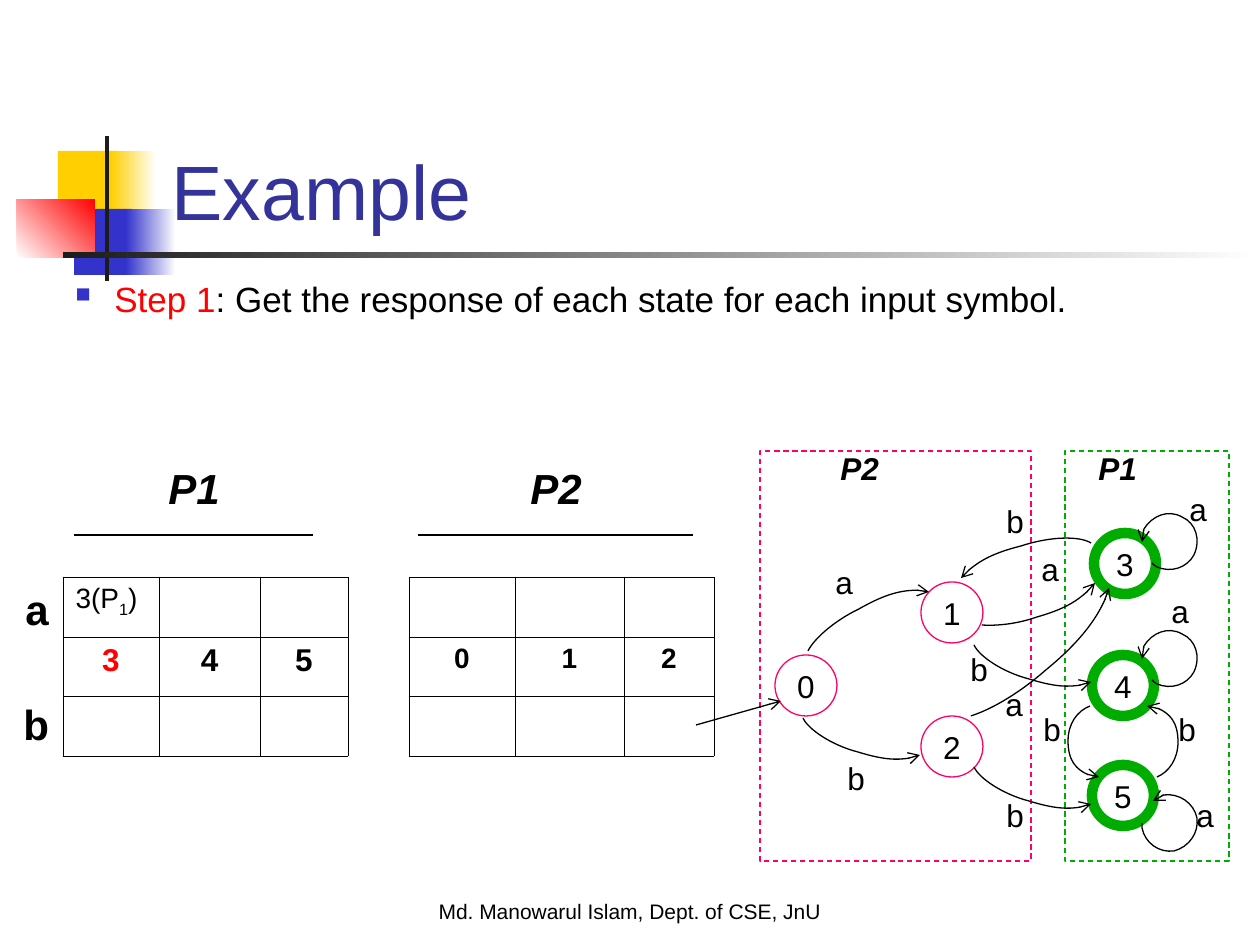
"""Build the DFA minimisation example slide with its state diagram and response tables."""
from lxml import etree
from pptx import Presentation, util as u
from pptx.dml.color import RGBColor
from pptx.enum import dml, shapes, text
from pptx.oxml import ns

PX = 914400 / 126
COLOURS = {"yellow": "FFCF01", "blue": "3333CC", "red": "FF0000", "ink": "1C1C1C",
           "white": "FFFFFF", "black": "000000", "title": "333399",
           "green": "00AC00", "pink": "FF0066"}


def px(value):
    return u.Emu(round(value * PX))


def rgb(name):
    return RGBColor.from_string(COLOURS[name])


def add_xml(parent, tag, **attributes):
    return etree.SubElement(parent, ns.qn(tag), attributes)


class Deck:
    def __init__(self):
        self.show = Presentation()
        self.show.slide_width, self.show.slide_height = px(1260), px(945)
        self.slide = self.show.slides.add_slide(self.show.slide_layouts[5])
        self.items = self.slide.shapes

    def add_words(self, paragraph, words, size=18, colour="black", **formats):
        run = paragraph.add_run()
        run.text = words
        values = {"name": "Arial", "size": u.Pt(size), **formats}
        for key, value in values.items():
            setattr(run.font, key, value)
        run.font.color.rgb = rgb(colour)
        return run

    def title(self, words, box, size, colour):
        heading = self.items.title
        for key, value in zip(("left", "top", "width", "height"), box):
            setattr(heading, key, px(value))
        frame = heading.text_frame
        frame.vertical_anchor = text.MSO_ANCHOR.BOTTOM
        frame.paragraphs[0].alignment = text.PP_ALIGN.LEFT
        self.add_words(frame.paragraphs[0], words, size, colour)

    def label(self, words, box, size=18, align=text.PP_ALIGN.LEFT, wrap=False, **formats):
        frame = self.items.add_textbox(*map(px, box)).text_frame
        frame.word_wrap = wrap
        frame.paragraphs[0].alignment = align
        self.add_words(frame.paragraphs[0], words, size, **formats)

    def bullet(self, parts, box, size):
        frame = self.items.add_textbox(*map(px, box)).text_frame
        frame.word_wrap = True
        paragraph = frame.paragraphs[0]
        properties = paragraph._p.get_or_add_pPr()
        properties.set("marL", str(px(39)))
        properties.set("indent", str(-px(39)))
        add_xml(add_xml(properties, "a:buClr"), "a:srgbClr", val=COLOURS["blue"])
        add_xml(properties, "a:buSzPct", val="60000")
        add_xml(properties, "a:buChar", char="■")
        paragraph.alignment = text.PP_ALIGN.JUSTIFY
        paragraph.line_spacing = 0.8
        for words, colour in parts:
            self.add_words(paragraph, words, size, colour)

    def block(self, box, colours, angle=0):
        bar = self.items.add_shape(shapes.MSO_SHAPE.RECTANGLE, *map(px, box))
        bar.shadow.inherit = False
        bar.line.fill.background()
        if len(colours) == 1:
            bar.fill.solid()
            bar.fill.fore_color.rgb = rgb(colours[0])
            return
        bar.fill.gradient()
        bar.fill.gradient_angle = angle
        for stop, colour in zip(bar.fill.gradient_stops, colours):
            stop.color.rgb = rgb(colour)

    def outline(self, kind, box, colour, width=0.75, dash=None):
        ring = self.items.add_shape(kind, *map(px, box))
        ring.shadow.inherit = False
        ring.fill.background()
        ring.line.color.rgb = rgb(colour)
        ring.line.width = u.Pt(width)
        ring.line.dash_style = dash
        return ring

    def state(self, number, left, top, colour, width):
        ring = self.outline(shapes.MSO_SHAPE.OVAL, (left, top, 62, 61), colour, width)
        frame = ring.text_frame
        frame.word_wrap = False
        frame.vertical_anchor = text.MSO_ANCHOR.MIDDLE
        frame.paragraphs[0].alignment = text.PP_ALIGN.CENTER
        self.add_words(frame.paragraphs[0], number)

    def ink(self, stroke, arrow):
        stroke.line.color.rgb = rgb("black")
        stroke.line.width = u.Pt(0.75)
        if arrow:
            add_xml(stroke.line._get_or_add_ln(), "a:tailEnd", type="arrow")

    def line(self, start, end, arrow=False):
        stroke = self.items.add_connector(shapes.MSO_CONNECTOR.STRAIGHT, *map(px, start + end))
        self.ink(stroke, arrow)
        add_xml(stroke._element.spPr, "a:effectLst")

    def curve(self, points, dx=0, dy=0):
        start, *controls = [(x + dx, y + dy) for x, y in points]
        builder = self.items.build_freeform(*start, scale=PX)
        builder.add_line_segments(controls, close=False)
        arc = builder.convert_to_shape()
        segments = arc._element.findall(".//" + ns.qn("a:lnTo"))
        route = segments[0].getparent()
        for first in range(0, len(segments), 3):
            bezier = add_xml(route, "a:cubicBezTo")
            for segment in segments[first:first + 3]:
                bezier.append(segment[0])
                route.remove(segment)
        arc.shadow.inherit = False
        arc.fill.background()
        self.ink(arc, True)

    def table(self, left, top, widths, heights, entries):
        size = len(heights), len(widths)
        frame = self.items.add_table(*size, *map(px, (left, top, sum(widths), sum(heights))))
        grid = frame.table
        grid.first_row = grid.horz_banding = False
        for column, width in zip(grid.columns, widths):
            column.width = px(width)
        for row, height in zip(grid.rows, heights):
            row.height = px(height)
        for cell in grid.iter_cells():
            properties = cell._tc.get_or_add_tcPr()
            for side in "LRTB":
                border = add_xml(properties, f"a:ln{side}", w="5715")
                add_xml(add_xml(border, "a:solidFill"), "a:srgbClr", val=COLOURS["black"])
            cell.fill.background()
        for column, (words, size, colour) in enumerate(entries):
            paragraph = grid.cell(1, column).text_frame.paragraphs[0]
            paragraph.alignment = text.PP_ALIGN.CENTER
            self.add_words(paragraph, words, size, colour, bold=True)
        return grid


def main():
    deck = Deck()
    for box, colours, angle in [
            ((58, 151, 60, 66), ["yellow"], 0), ((111, 151, 45, 66), ["yellow", "white"], 0),
            ((74, 209, 58, 66), ["blue"], 0), ((126, 209, 50, 66), ["blue", "white"], 0),
            ((17, 199, 78, 59), ["white", "red"], 45), ((105, 136, 4, 145), ["ink"], 0),
            ((63, 252, 1197, 6), ["ink", "white"], 0)]:
        deck.block(box, colours, angle)
    deck.label("Md. Manowarul Islam, Dept. of CSE, JnU", (0, 892, 1260, 63), 12,
               text.PP_ALIGN.CENTER, True)
    deck.title("Example", (159, 84, 1074, 158), 44, "title")

    rows = [60, 59, 60]
    response = deck.table(63, 577, [96, 101, 88], rows,
                          [("3", 18, "red"), ("4", 18, "black"), ("5", 18, "black")])
    target = response.cell(0, 0).text_frame.paragraphs[0]
    deck.add_words(target, "3(P", 16)
    deck.add_words(target, "1", 16).font._element.set("baseline", "-25000")
    deck.add_words(target, ")", 16)
    deck.table(409, 577, [106, 109, 90], rows, [(digit, 16, "black") for digit in "012"])
    deck.label("a", (13, 577, 60, 63), 24, bold=True)
    deck.label("b", (11, 692, 50, 63), 24, bold=True)

    for left, width, colour in [(1065, 164, "green"), (760, 271, "pink")]:
        deck.outline(shapes.MSO_SHAPE.RECTANGLE, (left, 451, width, 410), colour,
                     dash=dml.MSO_LINE.DASH)
    for symbol, left, top in [
            ("b", 835, 753), ("b", 994, 790), ("a", 1184, 790), ("b", 1031, 704),
            ("b", 1166, 704), ("a", 1159, 586), ("a", 1029, 544), ("b", 994, 496),
            ("a", 993, 679), ("b", 958, 644), ("a", 823, 557), ("a", 1177, 484)]:
        deck.label(symbol, (left, top, 43, 50))
    for number, left, top in [("0", 775, 655), ("1", 921, 582), ("2", 921, 716)]:
        deck.state(number, left, top, "pink", 0.75)
    for number, left, top in [("3", 1094, 533), ("4", 1092, 655), ("5", 1092, 765)]:
        deck.state(number, left, top, "green", 6)

    falling = [(974, 645), (979, 656), (1002, 672), (1029, 679), (1055, 687), (1079, 688),
               (1091, 682)]
    for dx, dy in [(0, 0), (0, 122), (-171, 73)]:
        deck.curve(falling, dx, dy)
    loop = [(1152, 680), (1154, 682), (1155, 683), (1157, 684), (1171, 690), (1187, 685),
            (1194, 672), (1201, 657), (1196, 640), (1182, 634), (1168, 626), (1152, 633),
            (1144, 646), (1143, 650), (1142, 655), (1142, 659)]
    for dy in (0, -117):
        deck.curve(loop, dy=dy)
    for transition in [
            [(1142, 823), (1142, 825), (1142, 827), (1142, 828), (1145, 843), (1159, 853),
             (1174, 851), (1189, 847), (1199, 833), (1197, 818), (1194, 803), (1179, 793),
             (1164, 795), (1160, 796), (1156, 798), (1153, 801)],
            [(1091, 543), (1080, 536), (1051, 536), (1021, 546), (993, 553), (970, 566), (961, 578)],
            [(982, 625), (997, 626), (1017, 624), (1037, 617), (1065, 609), (1087, 595), (1095, 583)],
            [(1157, 777), (1169, 772), (1178, 759), (1178, 742), (1178, 722), (1164, 706), (1147, 706)],
            [(1090, 706), (1077, 711), (1068, 724), (1068, 741), (1068, 761), (1082, 777), (1099, 777)],
            [(971, 716), (993, 709), (1021, 692), (1046, 670), (1079, 643), (1104, 610), (1109, 588)],
            [(808, 651), (814, 639), (834, 621), (859, 609), (887, 593), (916, 587), (929, 592)]]:
        deck.curve(transition)
    deck.line((696, 725), (781, 701), arrow=True)

    for name, left, top, width, height, size in [
            ("P1", 1086, 443, 69, 50, 18), ("P2", 828, 443, 69, 50, 18),
            ("P1", 156, 456, 77, 63, 24), ("P2", 518, 456, 77, 63, 24)]:
        deck.label(name, (left, top, width, height), size, bold=True, italic=True)
    deck.line((418, 535), (693, 535))
    deck.line((74, 535), (313, 535))
    deck.bullet([("Step 1", "red"),
                 (": Get the response of each state for each input symbol.", "black")],
                (63, 279, 1171, 89), 20)
    deck.show.save("out.pptx")


if __name__ == "__main__":
    main()
